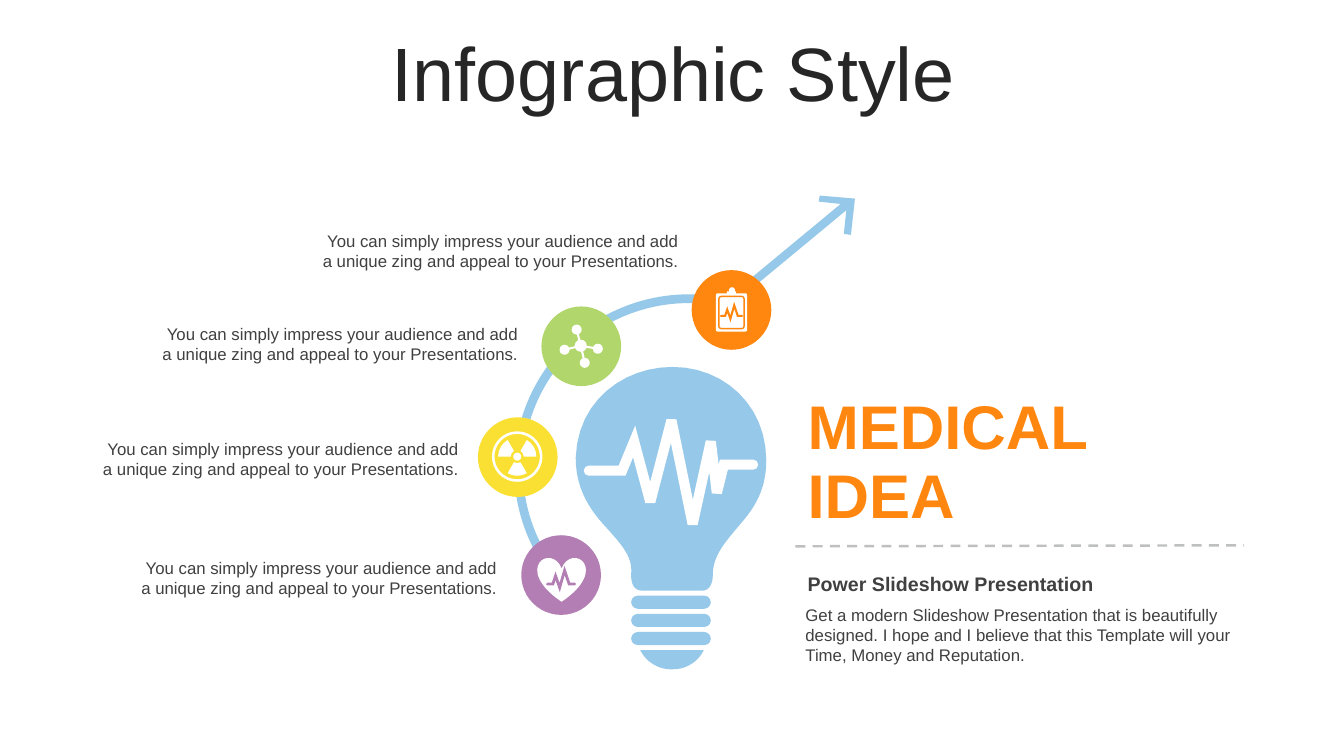
from dataclasses import dataclass
from lxml.etree import SubElement
from pptx import Presentation
from pptx.dml.color import RGBColor
from pptx.enum.dml import MSO_LINE
from pptx.enum.shapes import MSO_CONNECTOR, MSO_SHAPE
from pptx.enum.text import MSO_ANCHOR, MSO_AUTO_SIZE, PP_ALIGN
from pptx.oxml.ns import qn
from pptx.util import Inches, Pt

TITLE = "Infographic Style"
HEADLINE = ["MEDICAL", "IDEA"]
SUBHEAD = "Power Slideshow Presentation"
SUMMARY = ("Get a modern Slideshow Presentation that is beautifully designed. "
           "I hope and I believe that this Template will your Time, Money and Reputation.")
CALLOUT = ("You can simply impress your audience and add "
           "a unique zing and appeal to your Presentations.")


@dataclass(frozen=True)
class Theme:
    font: str = "Arial"
    title: str = "262626"
    text: str = "404040"
    blue: str = "96C8E9"
    orange: str = "FF870F"
    purple: str = "B37EB3"
    green: str = "B0D66C"
    yellow: str = "FBE034"
    white: str = "FFFFFF"
    grey: str = "BEBFBF"
    title_size: int = 54
    headline_size: int = 44
    subhead_size: int = 14
    body_size: int = 12


THEME = Theme()
BADGE_SIZE = 0.79
BADGES = [
    (THEME.orange, (6.86, 2.68), (3.07, 2.24)),
    (THEME.green, (5.37, 3.04), (1.48, 3.16)),
    (THEME.yellow, (4.74, 4.14), (0.89, 4.3)),
    (THEME.purple, (5.17, 5.31), (1.27, 5.48)),
]
ARROWHEAD = [(8.13, 1.94), (8.48, 1.97), (8.44, 2.33), (8.37, 2.32), (8.4, 2.03), (8.12, 2)]
BULB_START = (6.67, 3.64)
BULB_CURVES = [
    ((7.18, 3.64), (7.6, 4.02), (7.6, 4.57)),
    ((7.6, 4.85), (7.49, 5.03), (7.35, 5.19)),
    ((7.21, 5.36), (7.07, 5.5), (7.07, 5.7)),
    ((7.07, 5.8), (7.03, 5.86), (6.96, 5.86)),
    ((6.77, 5.86), (6.57, 5.86), (6.38, 5.86)),
    ((6.29, 5.86), (6.26, 5.8), (6.26, 5.7)),
    ((6.28, 5.52), (6.16, 5.4), (6.02, 5.24)),
    ((5.87, 5.08), (5.71, 4.87), (5.71, 4.54)),
    ((5.73, 3.97), (6.19, 3.64), (6.67, 3.64)),
]
CAP_START = (6.35, 6.45)
CAP_CURVES = [
    ((6.56, 6.45), (6.77, 6.45), (6.98, 6.45)),
    ((6.93, 6.56), (6.81, 6.64), (6.68, 6.64)),
    ((6.54, 6.65), (6.41, 6.57), (6.35, 6.45)),
]
BULB_PULSE = [(5.84, 4.67), (6.17, 4.67), (6.29, 4.38), (6.45, 4.98), (6.66, 4.17),
              (6.87, 5.2), (7.05, 4.38), (7.11, 4.89), (7.18, 4.61), (7.47, 4.61)]
HEARTBEAT = [(0, 0.5), (0.2, 0.5), (0.3, 0.2), (0.45, 0.63), (0.63, 0), (0.8, 0.5), (1, 0.5)]
MOLECULE_CENTER = (5.76, 3.43)
MOLECULE_NODES = [(5.72, 3.27), (5.93, 3.46), (5.8, 3.6), (5.6, 3.47)]
RADIATION_CENTER = (5.13, 4.53)

presentation = Presentation()
presentation.slide_width = Inches(13.33)
presentation.slide_height = Inches(7.5)
slide = presentation.slides.add_slide(presentation.slide_layouts[5])


def color(value):
    return RGBColor.from_string(value)


def paint(shape, fill):
    shape.shadow.inherit = False
    shape.fill.solid()
    shape.fill.fore_color.rgb = color(fill)
    shape.line.fill.background()


def add_shape(kind, left, top, width, height, fill, adjustments=(), rotation=0):
    shape = slide.shapes.add_shape(kind, Inches(left), Inches(top), Inches(width), Inches(height))
    for index, value in enumerate(adjustments):
        shape.adjustments[index] = value
    shape.rotation = rotation
    paint(shape, fill)
    return shape


def add_circle(center, radius, fill, kind=MSO_SHAPE.OVAL, adjustments=()):
    x, y = center
    add_shape(kind, x - radius, y - radius, 2 * radius, 2 * radius, fill, adjustments)


def add_line(start, end, stroke, width):
    line = slide.shapes.add_connector(
        MSO_CONNECTOR.STRAIGHT, *[Inches(value) for value in start + end])
    line.line.color.rgb = color(stroke)
    line.line.width = Pt(width)
    SubElement(line.element.spPr, qn("a:effectLst"))
    return line


def add_freeform(points, close):
    corners = [(Inches(x), Inches(y)) for x, y in points]
    builder = slide.shapes.build_freeform(*corners[0])
    builder.add_line_segments(corners[1:], close=close)
    return builder.convert_to_shape()


def add_pulse(points, stroke, width):
    pulse = add_freeform(points, False)
    pulse.shadow.inherit = False
    pulse.fill.background()
    pulse.line.color.rgb = color(stroke)
    pulse.line.width = Pt(width)
    outline = pulse.element.spPr.find(qn("a:ln"))
    outline.set("cap", "rnd")
    SubElement(outline, qn("a:miter"), lim="800000")


def add_heartbeat(left, top, size, stroke, width):
    add_pulse([(left + x * size, top + y * size) for x, y in HEARTBEAT], stroke, width)


def add_curved(start, curves, fill, steps=12):
    points = [start]
    for first, second, end in curves:
        controls = (points[-1], first, second, end)
        for step in range(1, steps + 1):
            t = step / steps
            weights = ((1 - t) ** 3, 3 * t * (1 - t) ** 2, 3 * t * t * (1 - t), t ** 3)
            points.append(tuple(sum(weight * control[axis] for weight, control
                                    in zip(weights, controls)) for axis in (0, 1)))
    paint(add_freeform(points, True), fill)


def set_text(frame, lines, size, fill, bold=False, align=PP_ALIGN.LEFT, spacing=None):
    frame.word_wrap = True
    for index, line in enumerate(lines):
        paragraph = frame.paragraphs[0] if index == 0 else frame.add_paragraph()
        paragraph.text = line
        paragraph.alignment = align
        paragraph.line_spacing = spacing
        paragraph.font.name = THEME.font
        paragraph.font.size = Pt(size)
        paragraph.font.bold = bold
        paragraph.font.color.rgb = color(fill)


def add_text(left, top, width, height, lines, size, fill, inset=0.1, **style):
    box = slide.shapes.add_textbox(Inches(left), Inches(top), Inches(width), Inches(height))
    frame = box.text_frame
    frame.margin_left = frame.margin_right = Inches(inset)
    set_text(frame, lines, size, fill, **style)
    frame.auto_size = MSO_AUTO_SIZE.SHAPE_TO_FIT_TEXT
    return frame


title = slide.shapes.title
title.left, title.top = Inches(0.35), Inches(0.37)
title.width, title.height = Inches(12.66), Inches(0.79)
title.text_frame.vertical_anchor = MSO_ANCHOR.MIDDLE
set_text(title.text_frame, [TITLE], THEME.title_size, THEME.title,
         align=PP_ALIGN.CENTER, spacing=0.9)

add_line((7.2, 3.02), (8.42, 2.01), THEME.blue, 6)
add_shape(MSO_SHAPE.BLOCK_ARC, 5.1, 2.92, 3.46, 3.46, THEME.blue, (128.16, 215.48, 0.025), 285)
paint(add_freeform(ARROWHEAD, True), THEME.blue)

for ring in range(3):
    add_shape(MSO_SHAPE.ROUNDED_RECTANGLE, 6.26, 5.91 + ring * 0.18, 0.79, 0.13, THEME.blue, (0.5,))
add_curved(CAP_START, CAP_CURVES, THEME.blue)
add_curved(BULB_START, BULB_CURVES, THEME.blue)
add_pulse(BULB_PULSE, THEME.white, 7.25)

for fill, badge, callout in BADGES:
    add_shape(MSO_SHAPE.OVAL, *badge, BADGE_SIZE, BADGE_SIZE, fill)
    add_text(*callout, 3.76, 0.5, [CALLOUT], THEME.body_size, THEME.text, align=PP_ALIGN.RIGHT)

add_shape(MSO_SHAPE.ROUNDED_RECTANGLE, 7.1, 2.91, 0.31, 0.38, THEME.white, (0.06,))
add_shape(MSO_SHAPE.RECTANGLE, 7.21, 2.89, 0.09, 0.04, THEME.white)
add_circle((7.26, 2.88), 0.03, THEME.white)
page = add_shape(MSO_SHAPE.ROUNDED_RECTANGLE, 7.13, 2.94, 0.25, 0.32, THEME.white, (0.1,))
page.line.color.rgb = color(THEME.orange)
page.line.width = Pt(1)
add_heartbeat(7.15, 3.03, 0.21, THEME.orange, 1.5)

for node in MOLECULE_NODES:
    add_line(MOLECULE_CENTER, node, THEME.white, 1.5)
    add_circle(node, 0.05, THEME.white)
add_circle(MOLECULE_CENTER, 0.06, THEME.white)

add_circle(RADIATION_CENTER, 0.25, THEME.white, MSO_SHAPE.DONUT, (0.05,))
for start in (60, 180, 300):
    add_circle(RADIATION_CENTER, 0.19, THEME.white, MSO_SHAPE.BLOCK_ARC,
               (start * 0.6, (start + 60) * 0.6, 0.33))
add_circle(RADIATION_CENTER, 0.04, THEME.white)

add_shape(MSO_SHAPE.HEART, 5.33, 5.53, 0.48, 0.44, THEME.white)
add_heartbeat(5.43, 5.66, 0.27, THEME.purple, 2)

headline = add_text(7.89, 3.84, 4.5, 1.48, HEADLINE, THEME.headline_size, THEME.orange,
                    inset=0.12, bold=True, spacing=Pt(49))
headline.vertical_anchor = MSO_ANCHOR.MIDDLE
add_line((7.89, 5.42), (12.34, 5.41), THEME.grey, 1.75).line.dash_style = MSO_LINE.DASH
add_text(7.89, 5.62, 4.5, 0.34, [SUBHEAD], THEME.subhead_size, THEME.text, inset=0.12, bold=True)
add_text(7.89, 5.95, 4.5, 0.71, [SUMMARY], THEME.body_size, THEME.text)

presentation.save("out.pptx")
